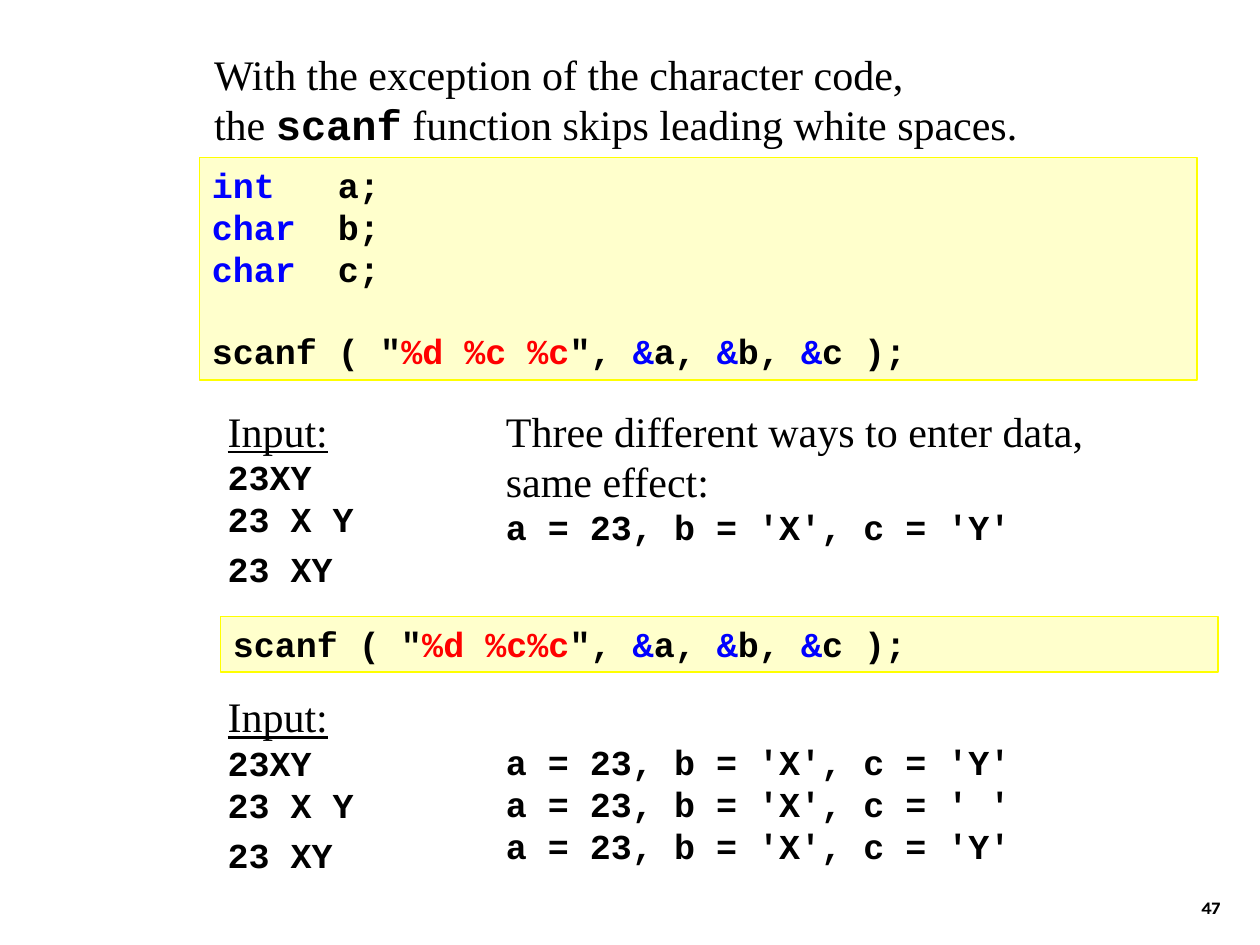
from pptx import Presentation
from pptx.dml.color import RGBColor
from pptx.enum.shapes import MSO_SHAPE
from pptx.enum.text import MSO_ANCHOR, PP_ALIGN
from pptx.util import Inches, Pt

BLACK = RGBColor(0, 0, 0)
BLUE = RGBColor(0, 0, 255)
RED = RGBColor(255, 0, 0)
CREAM = RGBColor(255, 255, 204)
YELLOW = RGBColor(255, 255, 0)

WIDE, HIGH = Inches(10), Inches(7.5)
COLS, ROWS = 120, 90
LINE = Pt(22.7)  # height of one line of code

PROSE = dict(name="Times New Roman", size=Pt(24), bold=False, ink=BLACK)
HEAD = PROSE | dict(underline=True)
CODE = dict(name="Courier New", size=Pt(20), bold=True, ink=BLACK)
TYPE = CODE | dict(ink=BLUE)
SPEC = CODE | dict(ink=RED)
TERM = CODE | dict(size=Pt(24))
PAGE = dict(name="Karla", size=Pt(10), bold=True, ink=BLACK)


def place(box):
    """Turn columns and rows into lengths on the slide."""
    x, y, w, h = box
    return (round(x * WIDE / COLS), round(y * HIGH / ROWS),
            round(w * WIDE / COLS), round(h * HIGH / ROWS))


def write(shape, lines, gaps=None, align=PP_ALIGN.LEFT, anchor=MSO_ANCHOR.TOP):
    """Fill a shape with lines of (text, style) runs; gaps maps line to space."""
    frame = shape.text_frame
    frame.word_wrap = True
    frame.vertical_anchor = anchor
    for row, runs in enumerate(lines):
        para = frame.paragraphs[0] if row == 0 else frame.add_paragraph()
        para.alignment = align
        para.space_before = (gaps or {}).get(row, Pt(0))
        for text, style in runs:
            run = para.add_run()
            run.text = text
            for key, value in style.items():
                if key == "ink":
                    run.font.color.rgb = value
                else:
                    setattr(run.font, key, value)


def add_text(slide, box, lines, **form):
    write(slide.shapes.add_textbox(*place(box)), lines, **form)


def add_code(slide, box, lines, **form):
    panel = slide.shapes.add_shape(MSO_SHAPE.RECTANGLE, *place(box))
    panel.shadow.inherit = False
    panel.fill.solid()
    panel.fill.fore_color.rgb = CREAM
    panel.line.color.rgb = YELLOW
    panel.line.width = Pt(0.75)
    write(panel, lines, anchor=MSO_ANCHOR.TOP, **form)


def scan_call(spec):
    """Runs of a scanf call with the given format."""
    runs = [('scanf ( "', CODE), (spec, SPEC), ('", ', CODE)]
    for rest in ("a, ", "b, ", "c );"):
        runs += [("&", TYPE), (rest, CODE)]
    return runs


def result(last):
    return [(f"a = 23, b = 'X', c = '{last}'", CODE)]


def add_input(slide, box):
    lines = [[("Input:", HEAD)]]
    lines += [[(text, CODE)] for text in ("23XY", "23 X Y", "23 XY")]
    add_text(slide, box, lines, gaps={3: Pt(4.5)})


def build(slide):
    add_text(slide, (92.4, 82, 25, 6), [[("47", PAGE)]],
             align=PP_ALIGN.RIGHT, anchor=MSO_ANCHOR.BOTTOM)
    decls = [[(kind + "\t", TYPE), (name + ";", CODE)]
             for kind, name in (("int", "a"), ("char", "b"), ("char", "c"))]
    add_code(slide, (19, 15, 95, 21.2), decls + [scan_call("%d %c %c")],
             gaps={3: LINE})
    add_text(slide, (19.2, 4, 80, 10.8), [
        [("With the exception of the character code,", PROSE)],
        [("the ", PROSE), ("scanf", TERM),
         (" function skips leading white spaces.", PROSE)]])
    add_code(slide, (21, 58.7, 95, 5.3), [scan_call("%d %c%c")])
    for top in (38, 65.2):
        add_input(slide, (20.5, top, 18.5, 18.8))
    add_text(slide, (47, 38, 58.5, 14.9), [
        [("Three different ways to enter data,", PROSE)],
        [("same effect:", PROSE)], result("Y")])
    add_text(slide, (47, 69.9, 51, 13.5), [result(last) for last in "Y Y"])


def main():
    deck = Presentation()
    deck.slide_width, deck.slide_height = WIDE, HIGH
    build(deck.slides.add_slide(deck.slide_layouts[6]))
    deck.save("out.pptx")


if __name__ == "__main__":
    main()
